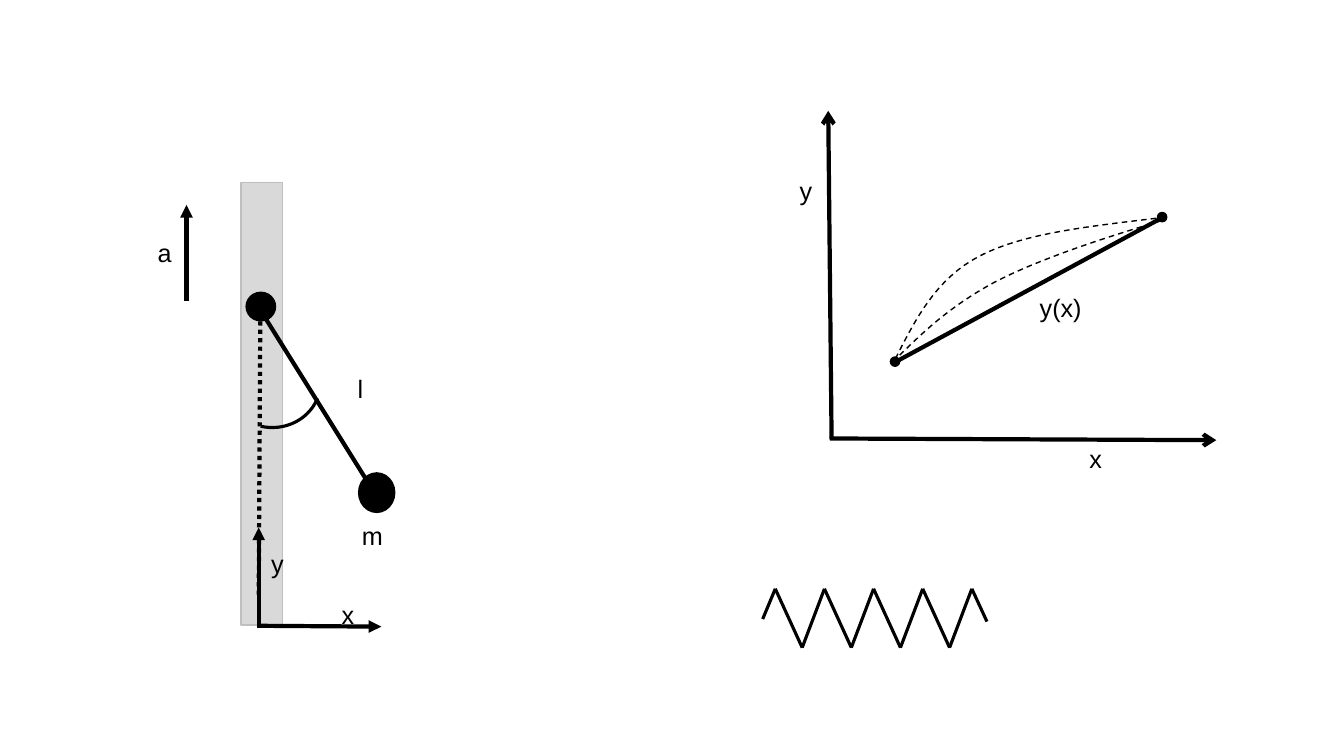
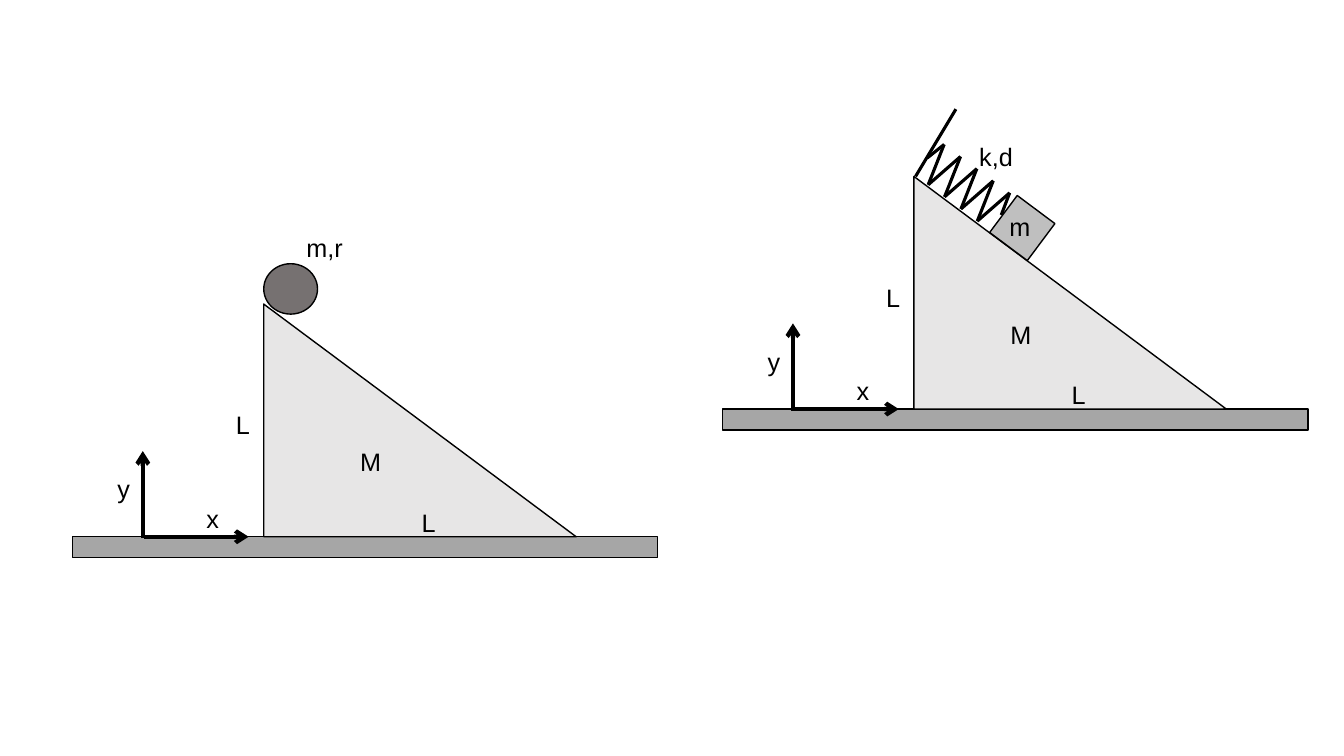
"""Build two slides of mechanics diagrams on a 160 by 90 grid of square cells."""
import itertools

import pptx
import pptx.dml.color
import pptx.enum.dml
import pptx.enum.shapes
import pptx.enum.text
import pptx.oxml
import pptx.oxml.ns
import pptx.util

COLUMNS, ROWS = 160, 90
CELL = pptx.util.Inches(7.5) / ROWS
FONT = "Arial"
BLACK = pptx.dml.color.RGBColor(0x00, 0x00, 0x00)
PILLAR = pptx.dml.color.RGBColor(0xD9, 0xD9, 0xD9)
BLOCK = pptx.dml.color.RGBColor(0xBF, 0xBF, 0xBF)
GROUND = pptx.dml.color.RGBColor(0xA6, 0xA6, 0xA6)
WEDGE = pptx.dml.color.RGBColor(0xE7, 0xE6, 0xE6)
DISC = pptx.dml.color.RGBColor(0x76, 0x71, 0x71)
THIN, MEDIUM, THICK = 1, 2.25, 3
PRESET = pptx.enum.shapes.MSO_SHAPE
DASH = pptx.enum.dml.MSO_LINE


def cells(*counts):
    return [pptx.util.Emu(round(count * CELL)) for count in counts]


def style_line(line, weight, color=BLACK, dash=None):
    line.color.rgb = color
    line.width = pptx.util.Pt(weight)
    if dash is not None:
        line.dash_style = dash


def add_preset(group, preset, box, fill=None, border=BLACK, weight=THIN, rotation=0, adjustments=()):
    shape = group.shapes.add_shape(preset, *cells(*box))
    shape.shadow.inherit = False
    shape.rotation = rotation
    for index, value in enumerate(adjustments):
        shape.adjustments[index] = value
    if fill is None:
        shape.fill.background()
    else:
        shape.fill.solid()
        shape.fill.fore_color.rgb = fill
    style_line(shape.line, weight, border)


def add_line(group, start, end, weight=THICK, arrow=None, dash=None):
    connector = group.shapes.add_connector(
        pptx.enum.shapes.MSO_CONNECTOR.STRAIGHT, *cells(*start, *end))
    style_line(connector.line, weight, dash=dash)
    properties = connector.element.spPr
    if arrow:
        outline = properties.find(pptx.oxml.ns.qn("a:ln"))
        outline.append(pptx.oxml.parse_xml(
            f'<a:tailEnd {pptx.oxml.ns.nsdecls("a")} type="{arrow}"/>'))
    properties.append(pptx.oxml.parse_xml(f'<a:effectLst {pptx.oxml.ns.nsdecls("a")}/>'))


def add_label(group, text, left, top, width=4):
    text_frame = group.shapes.add_textbox(*cells(left, top, width, 4.8)).text_frame
    text_frame.word_wrap = False
    text_frame.auto_size = pptx.enum.text.MSO_AUTO_SIZE.SHAPE_TO_FIT_TEXT
    text_frame.text = text
    font = text_frame.paragraphs[0].runs[0].font
    font.name = FONT
    font.size = pptx.util.Pt(18)
    font.color.rgb = BLACK


def bezier_points(controls, steps=16):
    weights = (1, 3, 3, 1)
    for step in range(1, steps + 1):
        share = step / steps
        factors = [weight * share ** power * (1 - share) ** (3 - power)
                   for power, weight in enumerate(weights)]
        yield cells(*(sum(factor * point[axis] for factor, point in zip(factors, controls))
                      for axis in (0, 1)))


def add_dashed_curve(group, points):
    builder = group.shapes.build_freeform(*cells(*points[0]))
    for first in range(0, len(points) - 1, 3):
        builder.add_line_segments(bezier_points(points[first:first + 4]), close=False)
    curve = builder.convert_to_shape()
    curve.shadow.inherit = False
    curve.fill.background()
    style_line(curve.line, THIN, dash=DASH.DASH)


def add_spring(group, start, peak, valley, step, end, peaks=5):
    turns = [(point[0] + index * step[0], point[1] + index * step[1])
             for index in range(peaks) for point in (peak, valley)]
    for first, second in itertools.pairwise([start, *turns[:-1], end]):
        add_line(group, first, second, MEDIUM)


def draw_pendulum(group):
    add_preset(group, PRESET.RECTANGLE, (28.7, 21.7, 4.9, 52.7), PILLAR, BLOCK)
    add_preset(group, PRESET.OVAL, (29.3, 34.8, 3.5, 3.4), BLACK)
    add_line(group, (30.8, 70.8), (31, 36.5), dash=DASH.ROUND_DOT)
    add_preset(group, PRESET.ARC, (26.4, 39, 11.5, 12.2), weight=MEDIUM,
               rotation=112.3, adjustments=(162, 209.39))
    add_line(group, (30.8, 74.8), (30.8, 62.8), arrow="triangle")
    add_line(group, (30.8, 74.5), (45.4, 74.6), arrow="triangle")
    add_preset(group, PRESET.OVAL, (42.7, 56.3, 4.3, 4.7), BLACK)
    add_line(group, (44.6, 58.7), (30.8, 36.6))
    add_line(group, (22.2, 35.8), (22.2, 24.4), arrow="triangle")
    add_label(group, "l", 41.4, 43.9, 3.1)
    add_label(group, "y", 31.1, 64.7)
    add_label(group, "x", 39.5, 70.7)
    add_label(group, "a", 17.6, 27.7)
    add_label(group, "m", 41.9, 61.4, 4.9)


def draw_path_plot(group):
    add_line(group, (98.8, 52.2), (144.8, 52.4), arrow="arrow")
    add_line(group, (99, 52.3), (98.6, 13.2), arrow="arrow")
    for left, top in ((106, 42.5), (137.8, 25.3)):
        add_preset(group, PRESET.OVAL, (left, top, 1.1, 1.1), BLACK)
    add_line(group, (138.4, 25.9), (106.6, 43.1))
    add_dashed_curve(group, [(106.6, 42.7), (109, 38), (111.4, 33.2), (116.6, 30.5),
                             (121.9, 27.7), (130.2, 26.9), (138.4, 25.9)])
    add_dashed_curve(group, [(106.3, 43.1), (109.7, 39.7), (113, 36.5), (118.4, 33.6),
                             (123.8, 30.8), (131.2, 28.4), (138.5, 26.2)])
    add_label(group, "x", 128.5, 52.2)
    add_label(group, "y", 94, 20.3)
    add_label(group, "y(x)", 122.6, 34.2, 7.4)


def draw_incline(group, left, top):
    add_preset(group, PRESET.RECTANGLE, (left, top, 69.7, 2.5), GROUND)
    add_preset(group, PRESET.ISOSCELES_TRIANGLE, (left + 22.8, top - 27.7, 37.2, 27.7),
               WEDGE, adjustments=(0,))
    add_line(group, (left + 8.5, top), (left + 21, top), arrow="arrow")
    add_line(group, (left + 8.4, top + 0.2), (left + 8.4, top - 10.2), arrow="arrow")
    for text, across, up, width in (("x", 14.8, 4.6, 4), ("y", 4.2, 8.1, 4),
                                    ("M", 33.1, 11.3, 4.9), ("L", 18.3, 15.7, 4),
                                    ("L", 40.4, 4.1, 4)):
        add_label(group, text, left + across, top - up, width)


def draw_rolling_disc(group):
    draw_incline(group, 8.6, 63.9)
    add_preset(group, PRESET.OVAL, (31.4, 31.4, 6.4, 6), DISC)
    add_label(group, "m,r", 35.3, 27.1, 6.8)


def draw_sprung_block(group):
    draw_incline(group, 86, 48.7)
    add_preset(group, PRESET.RECTANGLE, (118.9, 24.4, 5.6, 5.5), BLOCK, rotation=36.7)
    add_label(group, "m", 119, 24.6, 4.9)
    add_spring(group, (110.4, 18.8), (112.4, 17.2), (110.5, 22), (1.95, 1.44), (119.2, 25.6))
    add_label(group, "k,d", 115.4, 16.2, 6.5)
    add_line(group, (113.8, 13), (109, 21), MEDIUM)


def draw_loose_spring(group):
    add_spring(group, (90.8, 73.7), (92.3, 70.1), (95.5, 77.1), (5.85, 0), (117.5, 74))


def main():
    presentation = pptx.Presentation()
    presentation.slide_width, presentation.slide_height = cells(COLUMNS, ROWS)
    for drawings in ((draw_pendulum, draw_path_plot, draw_loose_spring),
                     (draw_rolling_disc, draw_sprung_block)):
        slide = presentation.slides.add_slide(presentation.slide_layouts[6])
        for draw in drawings:
            draw(slide.shapes.add_group_shape())
    presentation.save("out.pptx")


if __name__ == "__main__":
    main()
